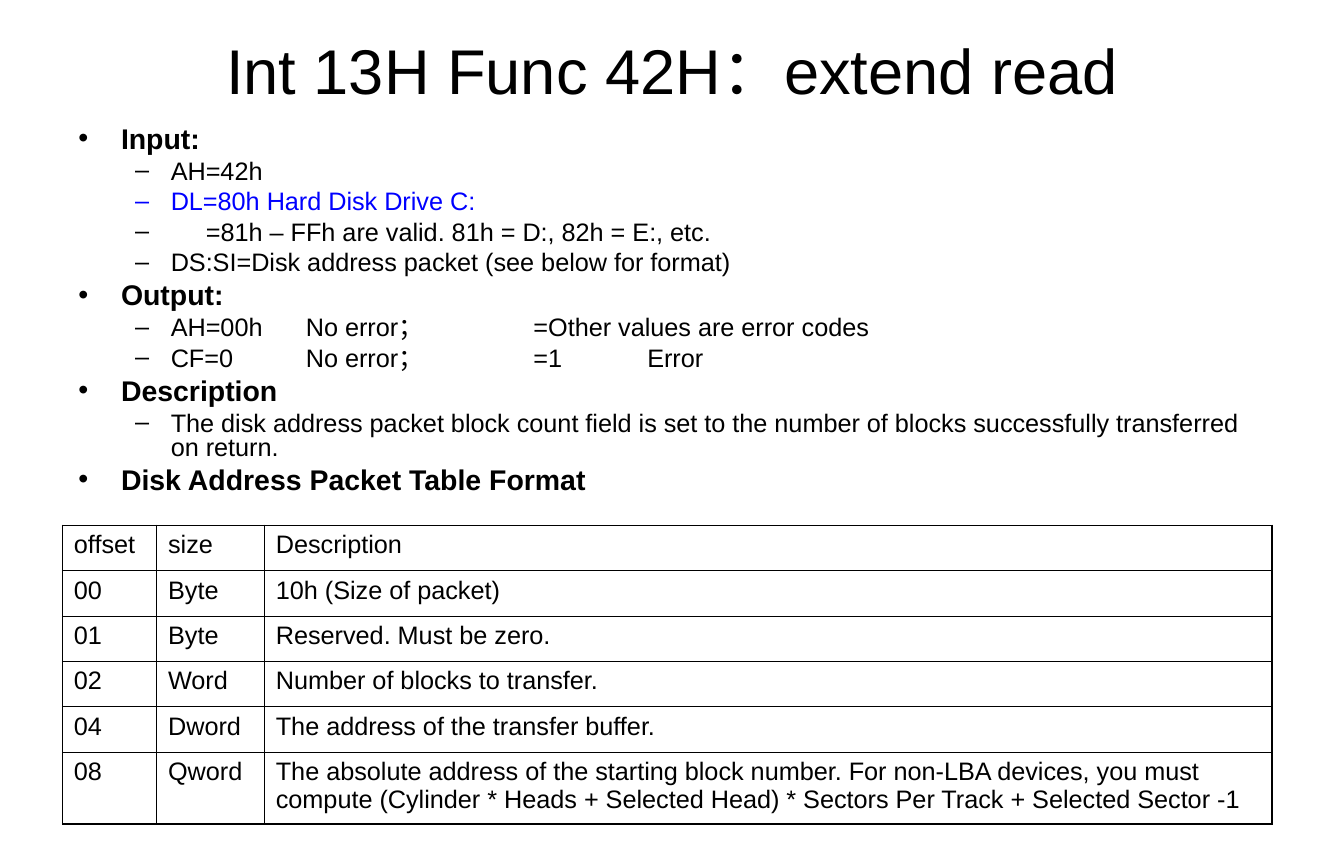
"""Build the slide on Int 13H function 42H, the extended read."""
import pptx
import pptx.dml.color
import pptx.enum.text
import pptx.oxml.ns
import pptx.util
import lxml.etree

Pt = pptx.util.Pt
BLACK = pptx.dml.color.RGBColor(0x00, 0x00, 0x00)
BLUE = pptx.dml.color.RGBColor(0x00, 0x00, 0xFF)
WHITE = pptx.dml.color.RGBColor(0xFF, 0xFF, 0xFF)
THICK, THIN = Pt(1.08), Pt(0.45)


def add(parent, tag, **attrs):
    node = lxml.etree.SubElement(parent, pptx.oxml.ns.qn("a:" + tag))
    for key, value in attrs.items():
        node.set(key, str(value))
    return node


def style(para, size, color=BLACK, bold=False):
    para.font.name = "Arial"
    para.font.size = Pt(size)
    para.font.bold = bold
    para.font.color.rgb = color


deck = pptx.Presentation()
deck.slide_width, deck.slide_height = Pt(850.4), Pt(540)
slide = deck.slides.add_slide(deck.slide_layouts[6])
slide.background.fill.solid()
slide.background.fill.fore_color.rgb = WHITE

title = slide.shapes.add_textbox(Pt(42.5), Pt(21.6), Pt(765.4), Pt(43.9)).text_frame
title.word_wrap = True
title.vertical_anchor = pptx.enum.text.MSO_ANCHOR.MIDDLE
para = title.paragraphs[0]
para.text = "Int 13H Func 42H：extend read"
para.alignment = pptx.enum.text.PP_ALIGN.CENTER
style(para, 40)

HEAD, ITEM, DEEP = (27, 27), (58.5, 22.5), (80.75, 44.75)
lines = [
    (HEAD, BLACK, "Input:"),
    (ITEM, BLACK, "AH=42h"),
    (ITEM, BLUE, "DL=80h Hard Disk Drive C:"),
    (DEEP, BLACK, "=81h – FFh are valid. 81h = D:, 82h = E:, etc."),
    (ITEM, BLACK, "DS:SI=Disk address packet (see below for format)"),
    (HEAD, BLACK, "Output:"),
    (ITEM, BLACK, "AH=00h\tNo error；\t=Other values are error codes"),
    (ITEM, BLACK, "CF=0\tNo error；\t=1\tError"),
    (HEAD, BLACK, "Description"),
    (ITEM, BLACK, "The disk address packet block count field is set to the number "
                  "of blocks successfully transferred on return."),
    (HEAD, BLACK, "Disk Address Packet Table Format"),
]
body = slide.shapes.add_textbox(Pt(42.5), Pt(77), Pt(765.4), Pt(244.1)).text_frame
body.word_wrap = True
for index, (level, color, text) in enumerate(lines):
    para = body.add_paragraph() if index else body.paragraphs[0]
    head = level == HEAD
    para.text = text
    para.level = 0 if head else 1
    para.line_spacing = 0.8
    if index:
        para.space_before = Pt(4.5 if head else 4)
    props = para._p.get_or_add_pPr()
    left, hang = level
    props.set("marL", str(Pt(left)))
    props.set("indent", str(-Pt(hang)))
    add(add(props, "buClr"), "srgbClr", val=color)
    add(props, "buFont", typeface="Arial")
    add(props, "buChar", char="•" if head else "–")
    tabs = add(props, "tabLst")
    for stop in range(1, 9):
        add(tabs, "tab", pos=Pt(72 * stop), algn="l")
    style(para, 18 if head else 16, color, head)

packet = [
    ("offset", "size", "Description"),
    ("00", "Byte", "10h (Size of packet)"),
    ("01", "Byte", "Reserved. Must be zero."),
    ("02", "Word", "Number of blocks to transfer."),
    ("04", "Dword", "The address of the transfer buffer."),
    ("08", "Qword", "The absolute address of the starting block number. For non-LBA "
                    "devices, you must compute (Cylinder * Heads + Selected Head) * "
                    "Sectors Per Track + Selected Sector -1"),
]
widths = [59.6, 68.2, 637.6]
heights = [28.7] * 5 + [45.7]
table = slide.shapes.add_table(len(heights), len(widths), Pt(39.6), Pt(332.6),
                               Pt(sum(widths)), Pt(sum(heights))).table
table.first_row = table.horz_banding = False
for col, width in zip(table.columns, widths):
    col.width = Pt(width)
for row, height in zip(table.rows, heights):
    row.height = Pt(height)
for y, texts in enumerate(packet):
    for x, text in enumerate(texts):
        cell = table.cell(y, x)
        cell.text = text
        style(cell.text_frame.paragraphs[0], 16)
        props = cell._tc.get_or_add_tcPr()
        edges = {"lnL": x == 0, "lnR": x == len(widths) - 1,
                 "lnT": y == 0, "lnB": y == len(heights) - 1}
        for side, outer in edges.items():
            line = add(props, side, w=THICK if outer else THIN)
            add(add(line, "solidFill"), "srgbClr", val=BLACK)
        cell.fill.background()

deck.save("out.pptx")
